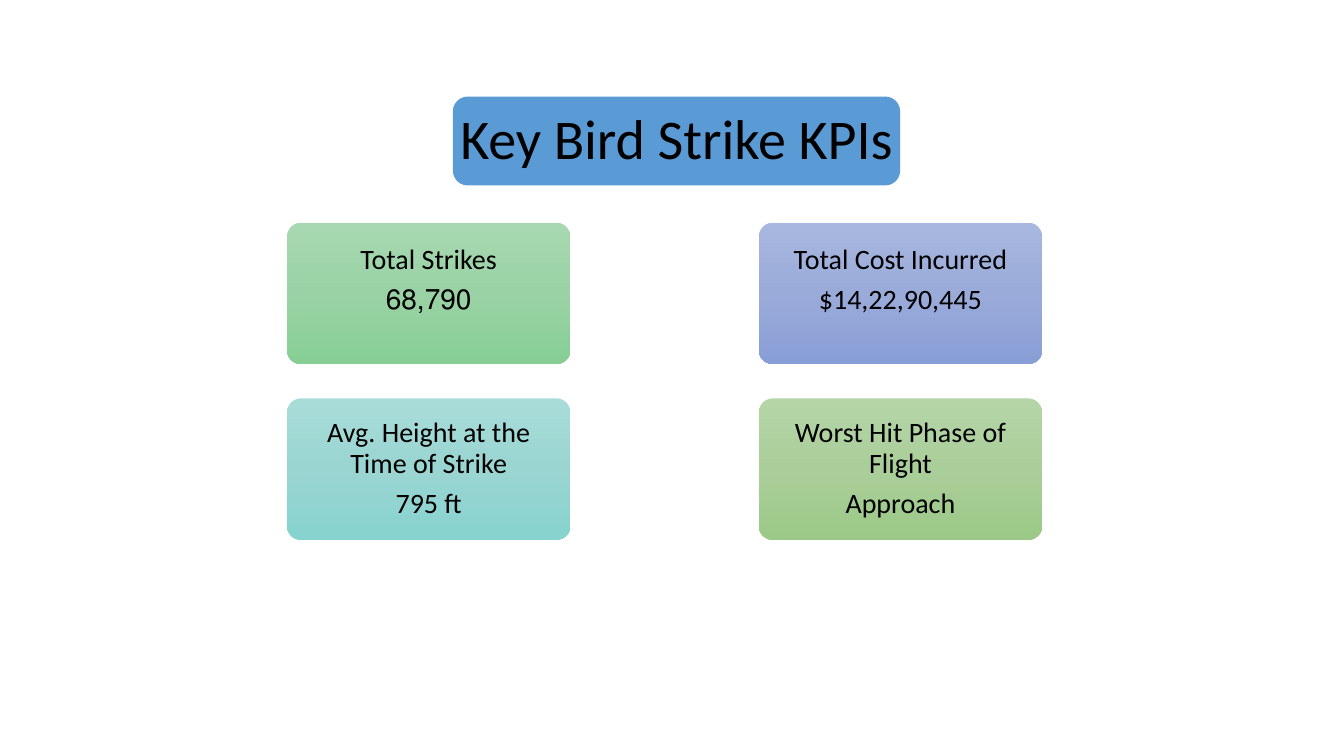
from copy import deepcopy
from pptx import Presentation
from pptx.dml.color import RGBColor
from pptx.enum.shapes import MSO_SHAPE
from pptx.enum.text import MSO_ANCHOR, PP_ALIGN
from pptx.oxml.ns import qn
from pptx.util import Pt

COLORS = {
    "text": "000000",
    "title": "5B9BD5",
    "green": ["A7D8B1", "9AD2A5", "87CE96"],
    "blue": ["A8B7DF", "9AABD9", "889ED7"],
    "teal": ["A8DCD9", "9AD5D2", "87D3CF"],
    "lime": ["B5D5A7", "AACE9A", "9CC987"],
}

deck = Presentation()
deck.slide_width, deck.slide_height = Pt(960), Pt(540)
slide = deck.slides.add_slide(deck.slide_layouts[6])


def add_box(left, top, width, height, lines, size, side, foot):
    box = slide.shapes.add_shape(MSO_SHAPE.ROUNDED_RECTANGLE,
                                 Pt(left), Pt(top), Pt(width), Pt(height))
    box.shadow.inherit = False
    box.line.fill.background()
    frame = box.text_frame
    frame.word_wrap = True
    frame.vertical_anchor = MSO_ANCHOR.MIDDLE
    frame.margin_left = frame.margin_right = Pt(side)
    frame.margin_top, frame.margin_bottom = Pt(5), Pt(foot)
    for i, line in enumerate(lines):
        para = frame.paragraphs[0] if i == 0 else frame.add_paragraph()
        para.alignment = PP_ALIGN.CENTER
        para.line_spacing = 0.9
        para.space_after = Pt(size * 0.35)
        run = para.add_run()
        run.text = line
        run.font.name = "Calibri"
        run.font.size = Pt(size)
        run.font.color.rgb = RGBColor.from_string(COLORS["text"])
    return box


def shade(box, stops):
    box.fill.gradient()
    box.fill.gradient_angle = 270
    track = box.element.spPr.find(".//" + qn("a:gsLst"))
    track.append(deepcopy(track[0]))
    for i, stop in enumerate(box.fill.gradient_stops):
        stop.position = i / 2
        stop.color.rgb = RGBColor.from_string(stops[i])


# Title
title = add_box(323.5, 69, 319.5, 63.5, ["Key Bird Strike KPIs"], 40, 2, 5)
title.fill.solid()
title.fill.fore_color.rgb = RGBColor.from_string(COLORS["title"])

# KPI cards, two by two; the upper row keeps free space at the foot
cards = [
    ("green", "Total Strikes", "68,790"),
    ("blue", "Total Cost Incurred", "$14,22,90,445"),
    ("teal", "Avg. Height at the Time of Strike", "795 ft"),
    ("lime", "Worst Hit Phase of Flight", "Approach"),
]
for i, (tint, label, value) in enumerate(cards):
    row, col = divmod(i, 2)
    card = add_box(205 + 337 * col, 159 + 125.5 * row, 202.5, 101,
                   [label, value], 20, 5, 5 if row else 24)
    card.adjustments[0] = 0.1
    shade(card, COLORS[tint])
    # The strike count is set right to left
    if tint == "green":
        for para in card.text_frame.paragraphs:
            para._p.get_or_add_pPr().set("rtl", "1")

deck.save("out.pptx")
